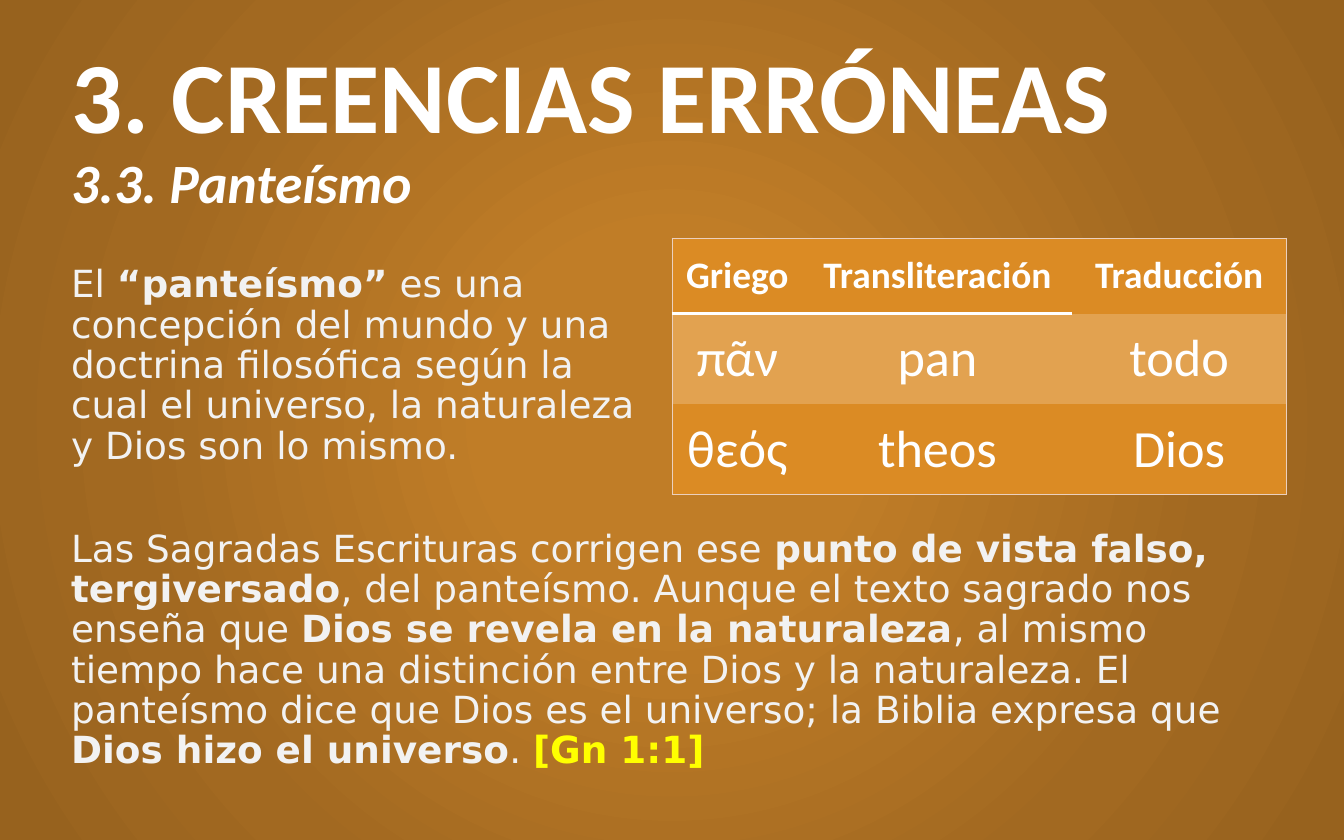
from lxml import etree
from pptx import Presentation
from pptx.dml.color import RGBColor
from pptx.enum import text as t
from pptx.oxml import ns
from pptx.util import Pt

HUES = {
    "white": "FFFFFF", "pale": "F2F2F2", "verse": "FFFF00",
    "row": "DB8B24", "band": "E2A250", "edge": "EBD0BE",
    "core": "C07D27", "mid": "A26921", "rim": "97621E",
}
STOPS = [(0, "core"), (23, "core"), (69, "mid"), (97, "rim")]
PLAIN = "{2D5ABB26-0587-4C30-8999-92F81FD0307C}"

IDEA = [
    ("El ", False),
    ("“panteísmo”", True),
    (" es una concepción del mundo y una doctrina filosófica según la cual "
     "el universo, la naturaleza y Dios son lo mismo.", False),
]
REPLY = [
    ("Las Sagradas Escrituras corrigen ese ", False),
    ("punto de vista falso, tergiversado", True),
    (", del panteísmo. Aunque el texto sagrado nos enseña que ", False),
    ("Dios se revela en la naturaleza", True),
    (", al mismo tiempo hace una distinción entre Dios y la naturaleza. "
     "El panteísmo dice que Dios es el universo; la Biblia expresa que ", False),
    ("Dios hizo el universo", True),
    (". ", False),
    ("[Gn 1:1]", True, "verse"),
]
WORDS = [
    ("Griego", "Transliteración", "Traducción"),
    ("πᾶν", "pan", "todo"),
    ("θεός", "theos", "Dios"),
]


def add(root, tag, **attrs):
    """Append a child element such as a:ln."""
    return etree.SubElement(root, ns.qn(tag), attrs)


def style(font, face, size, hue, bold=False):
    """Set the look of a font."""
    font.name, font.size, font.bold = face, Pt(size), bold
    font.color.rgb = RGBColor.from_string(HUES[hue])


def backdrop(slide):
    """Paint the round gradient behind the slide."""
    slide.background.fill.gradient()
    grad = next(slide.element.iter(ns.qn("a:gradFill")))
    for kid in list(grad):
        grad.remove(kid)
    stops = add(grad, "a:gsLst")
    for pos, hue in STOPS:
        stop = add(stops, "a:gs", pos=str(pos * 1000))
        add(stop, "a:srgbClr", val=HUES[hue])
    ring = add(grad, "a:path", path="circle")
    add(ring, "a:fillToRect", l="50000", t="50000", r="50000", b="50000")


def frame(slide, box):
    """Add a wrapping text box, centred in height, and return its text frame."""
    area = slide.shapes.add_textbox(*map(Pt, box)).text_frame
    area.word_wrap = True
    area.vertical_anchor = t.MSO_ANCHOR.MIDDLE
    area.paragraphs[0].line_spacing = 0.9
    return area


def heading(slide, box, title, sub):
    """Place the title with its subtitle on the next line."""
    para = frame(slide, box).paragraphs[0]
    para.text = f"{title}\v{sub}"
    top, low = para.runs
    style(top.font, "Calibri", 54, "white", True)
    style(low.font, "Calibri", 29.7, "white", True)
    low.font.italic = True


def prose(slide, box, parts):
    """Place a paragraph of plain and bold parts."""
    para = frame(slide, box).paragraphs[0]
    for words, bold, *hue in parts:
        run = para.add_run()
        run.text = words
        style(run.font, "DejaVu Sans", 20, hue[0] if hue else "pale", bold)


def border(cell, side, hue, width):
    """Draw one side of a cell."""
    line = add(cell._tc.get_or_add_tcPr(), f"a:ln{side}", w=str(Pt(width)))
    add(add(line, "a:solidFill"), "a:srgbClr", val=HUES[hue])


def glossary(slide, box, rows, widths, heights):
    """Place the table of Greek words."""
    count, span = len(rows), len(widths)
    table = slide.shapes.add_table(count, span, *map(Pt, box)).table
    next(table._tbl.iter(ns.qn("a:tableStyleId"))).text = PLAIN
    table.first_row = table.horz_banding = False
    for col, width in zip(table.columns, widths):
        col.width = Pt(width)
    for r, row in enumerate(rows):
        table.rows[r].height = Pt(heights[r])
        for c, word in enumerate(row):
            cell = table.cell(r, c)
            outer = {"L": c == 0, "R": c == span - 1,
                     "T": r == 0, "B": r == count - 1}
            for side, shown in outer.items():
                if shown:
                    border(cell, side, "edge", 0.5)
                elif side == "B" and r == 0 and c < span - 1:
                    border(cell, side, "white", 1.5)
            cell.fill.solid()
            hue = HUES["band" if r % 2 else "row"]
            cell.fill.fore_color.rgb = RGBColor.from_string(hue)
            cell.margin_left = cell.margin_right = Pt(4)
            cell.vertical_anchor = t.MSO_ANCHOR.MIDDLE
            cell.text_frame.text = word
            para = cell.text_frame.paragraphs[0]
            para.alignment = t.PP_ALIGN.CENTER
            style(para.runs[0].font, "Calibri", 28 if r else 20, "white", r == 0)


def main():
    """Build the slide and save it."""
    deck = Presentation()
    deck.slide_width, deck.slide_height = Pt(720), Pt(450)
    slide = deck.slides.add_slide(deck.slide_layouts[6])
    left, half, top = 31, 329, 127.5
    backdrop(slide)
    heading(slide, (left, 24.5, 2 * half, 91.5),
            "3.\u00a0CREENCIAS ERRÓNEAS", "3.3.\u00a0Panteísmo")
    prose(slide, (left, top, half, 137.5), IDEA)
    glossary(slide, (left + half, top, half, 137.5), WORDS,
             (70, 144.5, 114.5), (40.5, 48.5, 48.5))
    prose(slide, (left, 265.5, 2 * half, 166.5), REPLY)
    deck.save("out.pptx")


if __name__ == "__main__":
    main()
